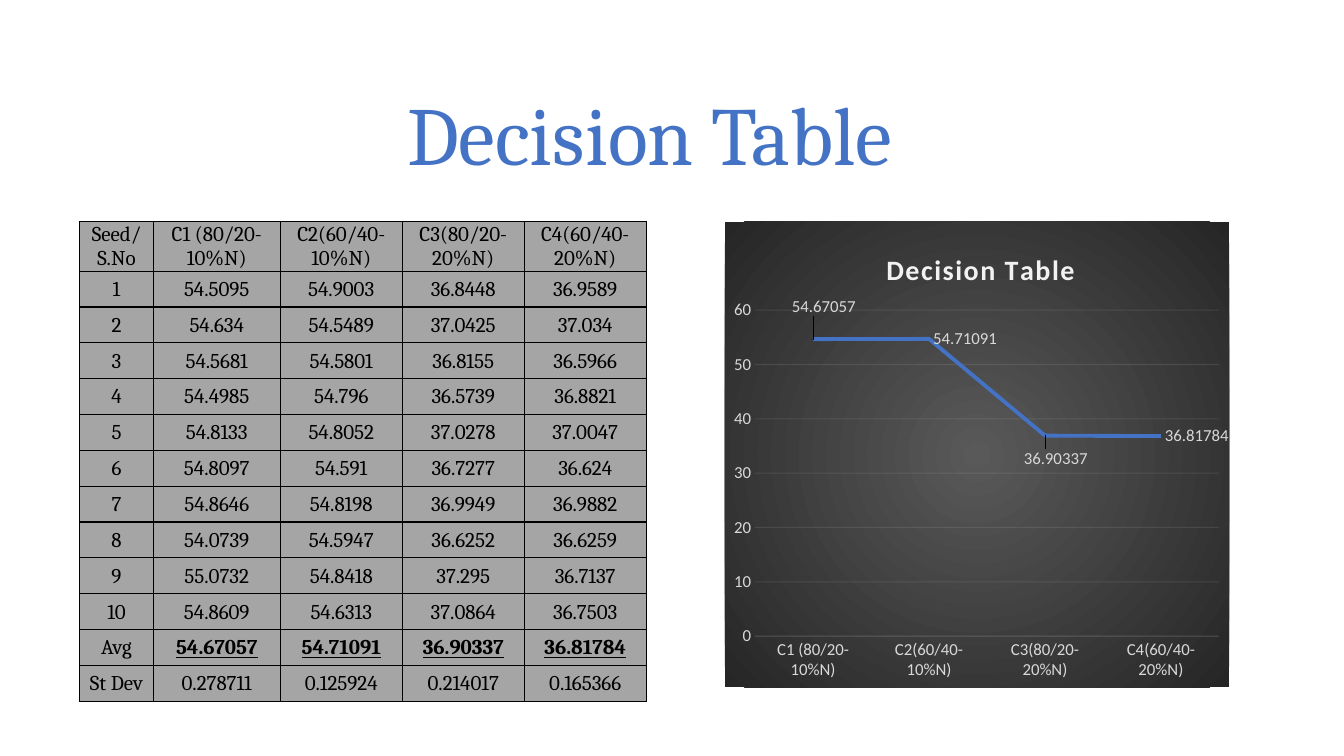
from lxml import etree
from pptx import Presentation
from pptx.chart.data import CategoryChartData
from pptx.dml.color import RGBColor
from pptx.enum.chart import XL_CHART_TYPE, XL_LABEL_POSITION as POS, XL_TICK_MARK
from pptx.enum.text import MSO_ANCHOR, PP_ALIGN
from pptx.oxml import parse_xml
from pptx.oxml.ns import nsdecls, qn
from pptx.util import Inches, Pt

# Content
TITLE = "Decision Table"
CASES = ["C1 (80/20-10%N)", "C2(60/40-10%N)", "C3(80/20-20%N)", "C4(60/40-20%N)"]
RUNS = [
    (54.5095, 54.9003, 36.8448, 36.9589),
    (54.634, 54.5489, 37.0425, 37.034),
    (54.5681, 54.5801, 36.8155, 36.5966),
    (54.4985, 54.796, 36.5739, 36.8821),
    (54.8133, 54.8052, 37.0278, 37.0047),
    (54.8097, 54.591, 36.7277, 36.624),
    (54.8646, 54.8198, 36.9949, 36.9882),
    (54.0739, 54.5947, 36.6252, 36.6259),
    (55.0732, 54.8418, 37.295, 36.7137),
    (54.8609, 54.6313, 37.0864, 36.7503),
]
AVERAGES = (54.67057, 54.71091, 36.90337, 36.81784)
DEVIATIONS = (0.278711, 0.125924, 0.214017, 0.165366)
ROWS = [("Seed/S.No", *CASES),
        *[(seed, *values) for seed, values in enumerate(RUNS, 1)],
        ("Avg", *AVERAGES), ("St Dev", *DEVIATIONS)]

# Format
COLORS = {"blue": "4472C4", "black": "000000", "cell": "A5A5A5", "label": "D9D9D9",
          "light": "F2F2F2", "center": "595959", "edge": "262626"}
TOP = 2.2
TABLE_LEFT, TABLE_H, HEADER_H = 0.79, 4.75, 0.48
COL_WIDTHS = [0.73, 1.26, 1.21, 1.21, 1.21]
CHART_BOX = (7.19, TOP, 5, 4.62)
PLOT_AREA = {"x": 0.06, "y": 0.19, "w": 0.92, "h": 0.7}
TITLE_SPOT = {"x": 0.31, "y": 0.05}
LABEL_SHIFTS = {0: {"x": -0.05, "y": -0.07}, 2: {"x": -0.05, "y": 0.05}}
CELL_FONT = {"name": "Cambria", "size": Pt(15), "bold": False}
LABEL_FONT = {"name": "Calibri", "size": Pt(12), "bold": False}


def set_font(font, color, **values):
    for name, value in values.items():
        setattr(font, name, value)
    font.color.rgb = RGBColor.from_string(COLORS[color])


def add_borders(cell):
    tc_pr = cell._tc.get_or_add_tcPr()
    for i, side in enumerate(("lnL", "lnR", "lnT", "lnB")):
        tc_pr.insert(i, parse_xml(
            f'<a:{side} {nsdecls("a")} w="12700"><a:solidFill>'
            f'<a:srgbClr val="{COLORS["black"]}"/></a:solidFill></a:{side}>'))


def manual_layout(shares, inner=False):
    parts = '<c:layoutTarget val="inner"/>' if inner else ""
    if inner or shares is TITLE_SPOT:
        parts += '<c:xMode val="edge"/><c:yMode val="edge"/>'
    parts += "".join(f'<c:{key} val="{value}"/>' for key, value in shares.items())
    return parse_xml(f'<c:layout {nsdecls("c")}><c:manualLayout>{parts}'
                     '</c:manualLayout></c:layout>')


def faint_line(line):
    line.width = Pt(0.75)
    line.color.rgb = RGBColor.from_string(COLORS["light"])
    color = line._ln.find(".//" + qn("a:srgbClr"))
    etree.SubElement(color, qn("a:alpha")).set("val", "10000")


def add_title(s):
    title = s.shapes.title
    title.left, title.top, title.width, title.height = map(Inches, (0.29, 0.65, 12.31, 1.45))
    tf = title.text_frame
    tf.text = TITLE
    tf.vertical_anchor = MSO_ANCHOR.MIDDLE
    p = tf.paragraphs[0]
    p.alignment, p.line_spacing = PP_ALIGN.CENTER, 0.9
    set_font(p.runs[0].font, "blue", name="Cambria", size=Pt(59))


def add_results_table(s):
    table = s.shapes.add_table(len(ROWS), len(COL_WIDTHS), Inches(TABLE_LEFT), Inches(TOP),
                               Inches(sum(COL_WIDTHS)), Inches(TABLE_H)).table
    table.first_row = table.horz_banding = False
    for column, width in zip(table.columns, COL_WIDTHS):
        column.width = Inches(width)
    body_h = (TABLE_H - HEADER_H) / (len(ROWS) - 1)
    for i, values in enumerate(ROWS):
        table.rows[i].height = Inches(body_h if i else HEADER_H)
        for j, value in enumerate(values):
            cell = table.cell(i, j)
            cell.text = str(value)
            cell.vertical_anchor = MSO_ANCHOR.MIDDLE
            cell.margin_left = cell.margin_right = cell.margin_top = Inches(0.01)
            cell.margin_bottom = 0
            cell.fill.solid()
            cell.fill.fore_color.rgb = RGBColor.from_string(COLORS["cell"])
            add_borders(cell)
            p = cell.text_frame.paragraphs[0]
            p.alignment = PP_ALIGN.CENTER
            font = p.runs[0].font
            set_font(font, "black", **CELL_FONT)
            if values[0] == "Avg" and j:
                font.bold = font.underline = True


def add_average_chart(s):
    data = CategoryChartData()
    data.categories = CASES
    data.add_series("Series 1", AVERAGES)
    chart = s.shapes.add_chart(XL_CHART_TYPE.LINE, *map(Inches, CHART_BOX), data).chart
    chart.has_legend = False
    set_font(chart.font, "black", name="Calibri", size=Pt(10))

    # Radial background
    chart_xml = chart._chartSpace.chart
    chart_xml.addnext(parse_xml(
        f'<c:spPr {nsdecls("c", "a")}><a:gradFill><a:gsLst>'
        f'<a:gs pos="0"><a:srgbClr val="{COLORS["center"]}"/></a:gs>'
        f'<a:gs pos="100000"><a:srgbClr val="{COLORS["edge"]}"/></a:gs></a:gsLst>'
        '<a:path path="circle"><a:fillToRect l="50000" t="50000" r="50000" b="50000"/>'
        '</a:path></a:gradFill><a:ln><a:noFill/></a:ln></c:spPr>'))

    # Chart title and plot area
    tf = chart.chart_title.text_frame
    tf.text = TITLE
    r = tf.paragraphs[0].runs[0]
    set_font(r.font, "light", name="Calibri", size=Pt(20), bold=True)
    r._r.get_or_add_rPr().set("spc", "100")
    title_xml = chart_xml.find(qn("c:title"))
    for parent, layout in ((title_xml, manual_layout(TITLE_SPOT)),
                           (chart_xml.plotArea, manual_layout(PLOT_AREA, inner=True))):
        for old in parent.findall(qn("c:layout")):
            parent.remove(old)
        parent.insert(1 if parent is title_xml else 0, layout)

    # Axes
    for axis in (chart.category_axis, chart.value_axis):
        axis.major_tick_mark = axis.minor_tick_mark = XL_TICK_MARK.NONE
        set_font(axis.tick_labels.font, "label", **LABEL_FONT)
    faint_line(chart.category_axis.format.line)
    value_axis = chart.value_axis
    value_axis.minimum_scale, value_axis.maximum_scale, value_axis.major_unit = 0, 60, 10
    value_axis.format.line.fill.background()
    faint_line(value_axis.major_gridlines.format.line)

    # Line and its labels
    series = chart.plots[0].series[0]
    series.smooth = False
    series.format.line.width = Pt(2.75)
    series.format.line.color.rgb = RGBColor.from_string(COLORS["blue"])
    labels = series.data_labels
    labels.show_value, labels.position = True, POS.RIGHT
    set_font(labels.font, "label", **LABEL_FONT)
    for i, shift in LABEL_SHIFTS.items():
        label = series.points[i].data_label
        set_font(label.font, "label", **LABEL_FONT)
        label.position = POS.RIGHT
        labels._element.findall(qn("c:dLbl"))[-1].insert(1, manual_layout(shift))


def main():
    prs = Presentation()
    prs.slide_width, prs.slide_height = Inches(13.33), Inches(7.5)
    s = prs.slides.add_slide(prs.slide_layouts[5])
    add_title(s)
    add_average_chart(s)
    add_results_table(s)
    prs.save("out.pptx")


if __name__ == "__main__":
    main()
